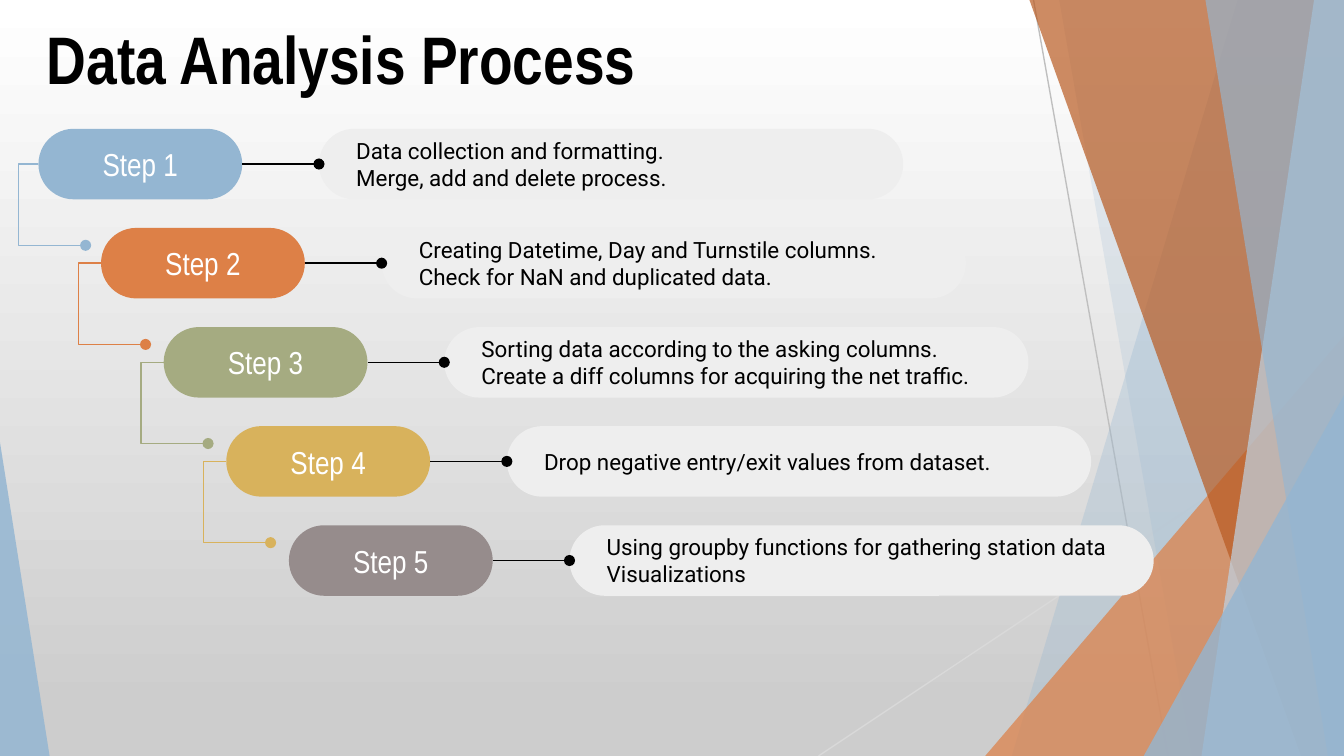
from dataclasses import dataclass

import pptx
import pptx.dml.color
import pptx.enum.shapes
import pptx.enum.text
import pptx.oxml
import pptx.oxml.ns
import pptx.util
from lxml import etree

Pt = pptx.util.Pt
RGB = pptx.dml.color.RGBColor.from_string
SHAPES = pptx.enum.shapes.MSO_SHAPE
STRAIGHT = pptx.enum.shapes.MSO_CONNECTOR.STRAIGHT
ALIGN = pptx.enum.text.PP_ALIGN
qn = pptx.oxml.ns.qn


@dataclass(frozen=True)
class Theme:
    black: str = "000000"
    white: str = "FFFFFF"
    background_end: str = "CDCDCD"
    panel: str = "EEEEEE"
    blue: str = "94B6D2"
    pale_blue: str = "BFD3E4"
    orange: str = "DD8047"
    rust: str = "B95B22"
    green: str = "A5AB81"
    gold: str = "D8B25C"
    taupe: str = "968C8C"
    dark_rule: str = "BFBFBF"
    light_rule: str = "D9D9D9"
    narrow_font: str = "Arial Narrow"
    body_font: str = "Roboto"
    title_size: float = 36
    step_size: float = 17
    body_size: float = 12
    line_width: float = 0.75


theme = Theme()


def paint(shape, color, opacity=100):
    """Give a flat, borderless fill with the given opacity in percent."""
    shape.shadow.inherit = False
    shape.line.fill.background()
    shape.fill.solid()
    shape.fill.fore_color.rgb = RGB(color)
    if opacity < 100:
        color_element = shape.element.spPr.find(qn("a:solidFill"))[0]
        etree.SubElement(color_element, qn("a:alpha"), val=str(opacity * 1000))


def draw_line(shape, color, dot=True):
    """Set a thin line without shadow, with an optional dot at its end."""
    shape.line.color.rgb = RGB(color)
    shape.line.width = Pt(theme.line_width)
    properties = shape.element.spPr
    if dot:
        etree.SubElement(properties.find(qn("a:ln")), qn("a:tailEnd"), type="oval")
    etree.SubElement(properties, qn("a:effectLst"))


presentation = pptx.Presentation()
presentation.slide_width = Pt(720)
presentation.slide_height = Pt(405)
slide = presentation.slides.add_slide(presentation.slide_layouts[6])
shapes = slide.shapes

# Background gradient, from white at the top to grey
background = slide.background.fill
background.gradient()
background.gradient_angle = 270
gradient_stops = ((0, theme.white), (0.94, theme.background_end))
for stop, (position, color) in zip(background.gradient_stops, gradient_stops):
    stop.position = position
    stop.color.rgb = RGB(color)

# Thin rules behind the ribbons
for x1, y1, x2, y2, color in (
    (553.7, 0, 625.7, 405, theme.dark_rule),
    (720, 217.4, 438.5, 405, theme.light_rule),
):
    rule = shapes.add_connector(STRAIGHT, Pt(x1), Pt(y1), Pt(x2), Pt(y2))
    draw_line(rule, color, dot=False)

# Bands reach the right edge: (top x, bottom x).
# Triangles stand on the bottom edge: (left, top, width, apex).
ribbons = (
    ("band", (663, 542), theme.blue, 30),
    ("band", (567.4, 638.6), theme.blue, 20),
    ("triangle", (527.8, 180, 192.2, 1), theme.orange, 72),
    ("band", (551.5, 697), theme.rust, 70),
    ("band", (704, 643.7), theme.pale_blue, 70),
    ("band", (645.8, 711.4), theme.blue, 65),
    ("triangle", (612.7, 211.7, 107.3, 1), theme.blue, 80),
    ("triangle", (0, 236.9, 26.6, 0), theme.blue, 85),
)
for kind, geometry, color, opacity in ribbons:
    if kind == "band":
        top_x, bottom_x = geometry
        builder = shapes.build_freeform(Pt(top_x), 0)
        corners = ((720, 0), (720, 405), (bottom_x, 405))
        builder.add_line_segments([(Pt(x), Pt(y)) for x, y in corners], close=True)
        ribbon = builder.convert_to_shape()
    else:
        left, top, width, apex = geometry
        ribbon = shapes.add_shape(
            SHAPES.ISOSCELES_TRIANGLE, Pt(left), Pt(top), Pt(width), Pt(405 - top)
        )
        ribbon.adjustments[0] = apex
    paint(ribbon, color, opacity)

title = shapes.add_textbox(Pt(18), Pt(5.8), Pt(355), Pt(51))
title.text_frame.word_wrap = True
title_run = title.text_frame.paragraphs[0].add_run()
title_run.text = "Data Analysis Process"
title_run.font.name = theme.narrow_font
title_run.font.size = Pt(theme.title_size)
title_run.font.bold = True
title_run.font.color.rgb = RGB(theme.black)

# Staircase of steps: (colour, left of the elbow to the next step, lines)
steps = (
    (theme.blue, 9.9,
     ("Data collection and formatting.", "Merge, add and delete process.")),
    (theme.orange, 42,
     ("Creating Datetime, Day and Turnstile columns.",
      "Check for NaN and duplicated data.")),
    (theme.green, 75.5,
     ("Sorting data according to the asking columns.",
      "Create a diff columns for acquiring the net traffic.")),
    (theme.gold, 109,
     ("Drop negative entry/exit values from dataset.",)),
    (theme.taupe, None,
     ("Using groupby functions for gathering station data", "Visualizations")),
)
pill_width, panel_width, bar_height = 109.2, 313, 37.8
panel_offset = 150.3
for index, (color, elbow_left, lines) in enumerate(steps):
    left = 20.6 + 33.55 * index
    top = 69 + 53.1 * index
    middle = top + bar_height / 2
    panel_left = left + panel_offset

    if elbow_left is not None:
        builder = shapes.build_freeform(Pt(left), Pt(middle))
        bends = (
            (elbow_left, middle),
            (elbow_left, middle + 43.5),
            (elbow_left + 36, middle + 43.5),
        )
        builder.add_line_segments([(Pt(x), Pt(y)) for x, y in bends], close=False)
        elbow = builder.convert_to_shape()
        elbow.fill.background()
        draw_line(elbow, color)

    bars = (
        (left, pill_width, color, 7.2, ALIGN.CENTER, (f"Step {index + 1}",),
         theme.narrow_font, theme.step_size, theme.white),
        (panel_left, panel_width, theme.panel, 14.4, ALIGN.LEFT, lines,
         theme.body_font, theme.body_size, theme.black),
    )
    for bar_left, width, fill, inset, alignment, texts, font, size, ink in bars:
        bar = shapes.add_shape(
            SHAPES.ROUNDED_RECTANGLE, Pt(bar_left), Pt(top), Pt(width), Pt(bar_height)
        )
        bar.adjustments[0] = 0.5
        paint(bar, fill)
        frame = bar.text_frame
        frame.word_wrap = True
        frame.vertical_anchor = pptx.enum.text.MSO_ANCHOR.MIDDLE
        frame.margin_left = Pt(inset)
        frame.margin_right = frame.margin_top = frame.margin_bottom = Pt(7.2)
        for number, text in enumerate(texts):
            paragraph = frame.add_paragraph() if number else frame.paragraphs[0]
            paragraph.alignment = alignment
            run = paragraph.add_run()
            run.text = text
            run.font.name = font
            run.font.size = Pt(size)
            run.font.color.rgb = RGB(ink)

    link = shapes.add_connector(
        STRAIGHT, Pt(left + pill_width), Pt(middle), Pt(panel_left), Pt(middle)
    )
    draw_line(link, theme.black)

presentation.save("out.pptx")
